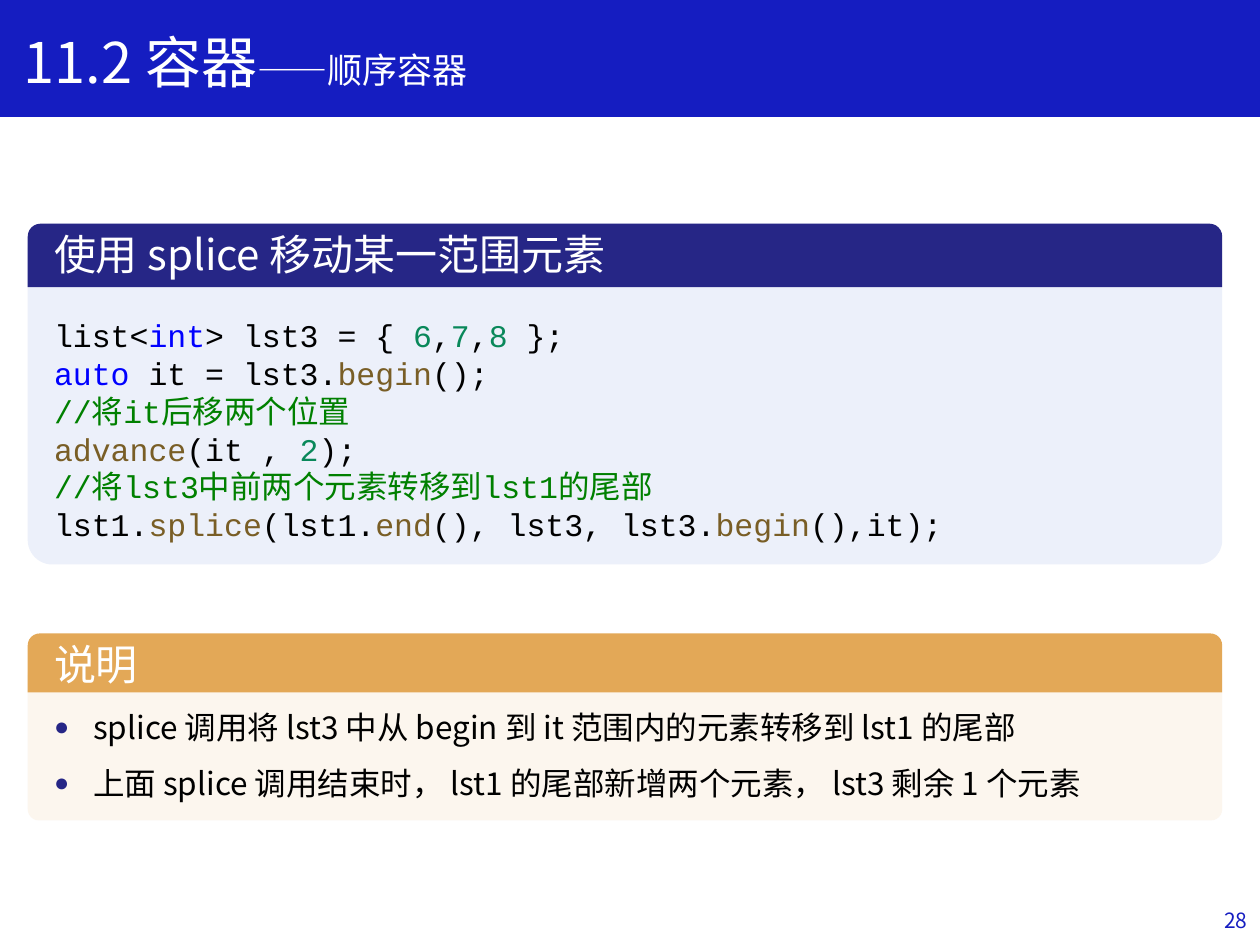
from lxml.etree import SubElement
from pptx import Presentation
from pptx.dml.color import RGBColor
from pptx.enum.shapes import MSO_SHAPE
from pptx.enum.text import MSO_ANCHOR, MSO_AUTO_SIZE, PP_ALIGN
from pptx.oxml.ns import qn
from pptx.util import Cm, Pt

SANS = "Noto Sans CJK SC"
MONO = "Courier New"
BLUE, NAVY, PALE_BLUE = "151DC1", "262686", "ECF0FA"
ORANGE, PALE_ORANGE = "E3A857", "FCF6EE"
WHITE, BLACK = "FFFFFF", "000000"
KEYWORD, NUMBER, FUNCTION, COMMENT = "0000FF", "09885A", "795E26", "008000"

CODE_LINES = [
    [("list<", BLACK), ("int", KEYWORD), ("> lst3 = { ", BLACK), ("6", NUMBER), (",", BLACK),
     ("7", NUMBER), (",", BLACK), ("8", NUMBER), (" };", BLACK)],
    [("auto", KEYWORD), (" it = lst3.", BLACK), ("begin", FUNCTION), ("();", BLACK)],
    [("//将it后移两个位置", COMMENT)],
    [("advance", FUNCTION), ("(it , ", BLACK), ("2", NUMBER), (");", BLACK)],
    [("//将lst3中前两个元素转移到lst1的尾部", COMMENT)],
    [("lst1.", BLACK), ("splice", FUNCTION), ("(lst1.", BLACK), ("end", FUNCTION),
     ("(), lst3, lst3.", BLACK), ("begin", FUNCTION), ("(),it);", BLACK)],
]
NOTES = [
    "splice 调用将 lst3 中从 begin 到 it 范围内的元素转移到 lst1 的尾部",
    "上面 splice 调用结束时， lst1 的尾部新增两个元素， lst3 剩余 1 个元素",
]


def color(value):
    return RGBColor.from_string(value)


def add_block(shapes, kind, left, top, width, height, fill, adjustments=()):
    shape = shapes.add_shape(kind, Cm(left), Cm(top), Cm(width), Cm(height))
    shape.shadow.inherit = False
    shape.fill.solid()
    shape.fill.fore_color.rgb = color(fill)
    shape.line.fill.background()
    for index, value in enumerate(adjustments):
        shape.adjustments[index] = value
    return shape


def add_text(shapes, left, top, width, height, lines, font=SANS):
    text_box = shapes.add_textbox(Cm(left), Cm(top), Cm(width), Cm(height))
    text_frame = text_box.text_frame
    text_frame.word_wrap = True
    text_frame.auto_size = MSO_AUTO_SIZE.SHAPE_TO_FIT_TEXT
    for index, pieces in enumerate(lines):
        paragraph = text_frame.add_paragraph() if index else text_frame.paragraphs[0]
        for text, size, shade in pieces:
            run = paragraph.add_run()
            run.text = text
            run.font.size = Pt(size)
            run.font.name = font
            run.font.color.rgb = color(shade)
            east_asian = SubElement(run.font._element, qn("a:ea"))
            east_asian.set("typeface", font)
    return text_frame


def add_bullet(paragraph):
    paragraph.line_spacing = 1.5
    properties = paragraph._p.get_or_add_pPr()
    properties.set("marL", str(Cm(0.79)))
    properties.set("indent", str(-Cm(0.79)))
    bullet_color = SubElement(properties, qn("a:buClr"))
    SubElement(bullet_color, qn("a:srgbClr")).set("val", NAVY)
    SubElement(properties, qn("a:buSzPct")).set("val", "80000")
    SubElement(properties, qn("a:buFont")).set("typeface", "Arial")
    SubElement(properties, qn("a:buChar")).set("char", "●")


def add_title_bar(slide, left, top, width, height):
    bar = add_block(slide.shapes, MSO_SHAPE.RECTANGLE, left, top, width, height, BLUE)
    bar.line.color.rgb = color(BLUE)
    bar.line.width = Pt(1)
    add_text(slide.shapes, left + 0.23, top + 0.43, 18.9, 1.63,
             [[("11.2 容器", 32, WHITE), ("——顺序容器", 20, WHITE)]])


def add_page_number(slide, left, top, width, height):
    text_frame = add_text(slide.shapes, left, top, width, height, [[("28", 12, BLUE)]])
    text_frame.auto_size = MSO_AUTO_SIZE.NONE
    text_frame.vertical_anchor = MSO_ANCHOR.MIDDLE
    text_frame.paragraphs[0].alignment = PP_ALIGN.RIGHT


def add_panel(slide, left, top, width, height, heading, header_height, body_offset, header_fill, body_fill):
    shapes = slide.shapes.add_group_shape().shapes
    add_block(shapes, MSO_SHAPE.ROUNDED_RECTANGLE, left, top + body_offset, width,
              height - body_offset, body_fill, [0.072])
    add_block(shapes, MSO_SHAPE.ROUND_2_SAME_RECTANGLE, left, top, width,
              header_height, header_fill, [0.201, 0])
    add_text(shapes, left + 0.28, top - 0.03, 18.7, header_height, [[(heading, 24, WHITE)]])
    return shapes


def add_code_panel(slide, left, top, width, height):
    add_panel(slide, left, top, width, height, "使用 splice 移动某一范围元素", 1.28, 0, NAVY, PALE_BLUE)
    lines = [[(text, 18, shade) for text, shade in line] for line in CODE_LINES]
    return add_text(slide.shapes, left + 0.28, top + 1.74, 20.14, 4.88, lines, MONO)


def add_notes_panel(slide, left, top, width, height):
    shapes = add_panel(slide, left, top, width, height, "说明", 1.19, 0.61, ORANGE, PALE_ORANGE)
    text_frame = add_text(shapes, left + 0.28, top + 0.99, width - 0.56, 2.44,
                          [[(note, 18, BLACK)] for note in NOTES])
    for paragraph in text_frame.paragraphs:
        add_bullet(paragraph)


def main():
    presentation = Presentation()
    presentation.slide_width = Cm(25.4)
    presentation.slide_height = Cm(19.05)
    slide = presentation.slides.add_slide(presentation.slide_layouts[6])
    add_title_bar(slide, 0, 0, 25.4, 2.34)
    add_page_number(slide, 19.68, 18.03, 5.72, 1.02)
    add_code_panel(slide, 0.56, 4.51, 24.08, 6.87)
    add_notes_panel(slide, 0.56, 12.77, 24.08, 3.77)
    presentation.save("out.pptx")


if __name__ == "__main__":
    main()
